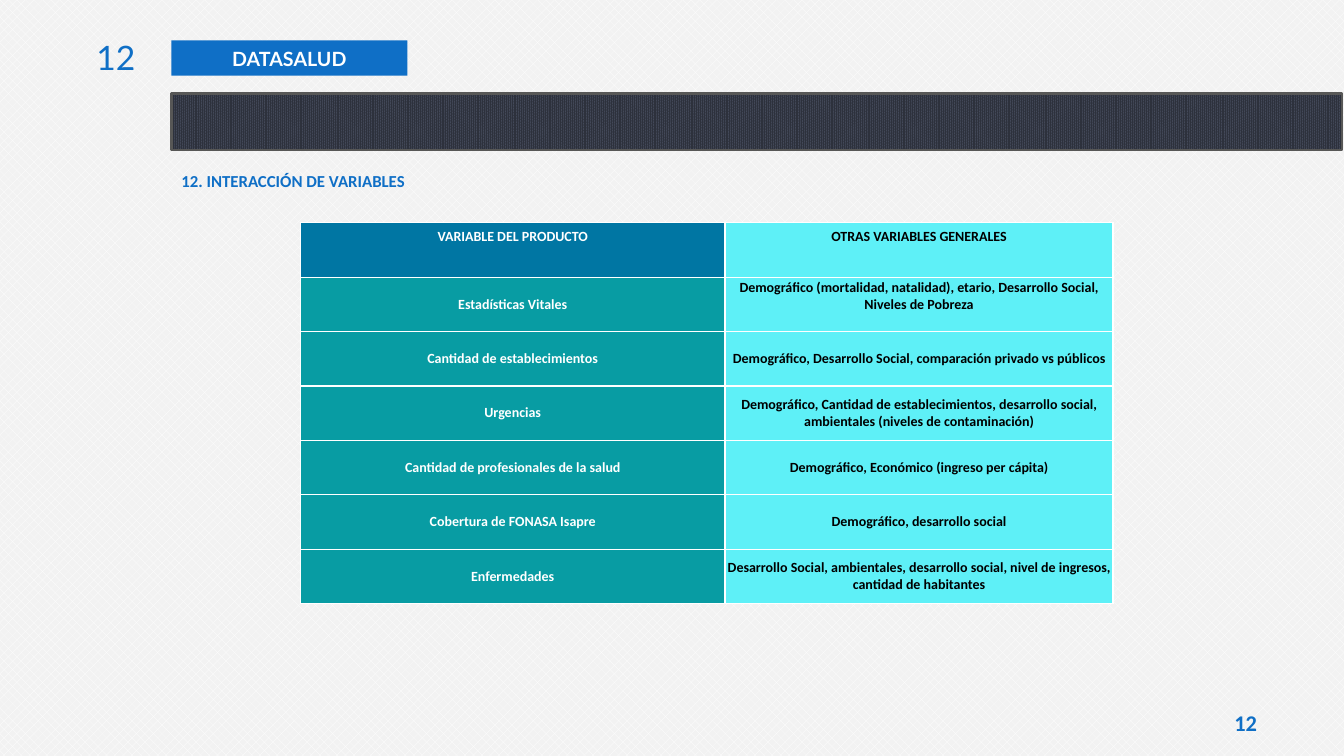
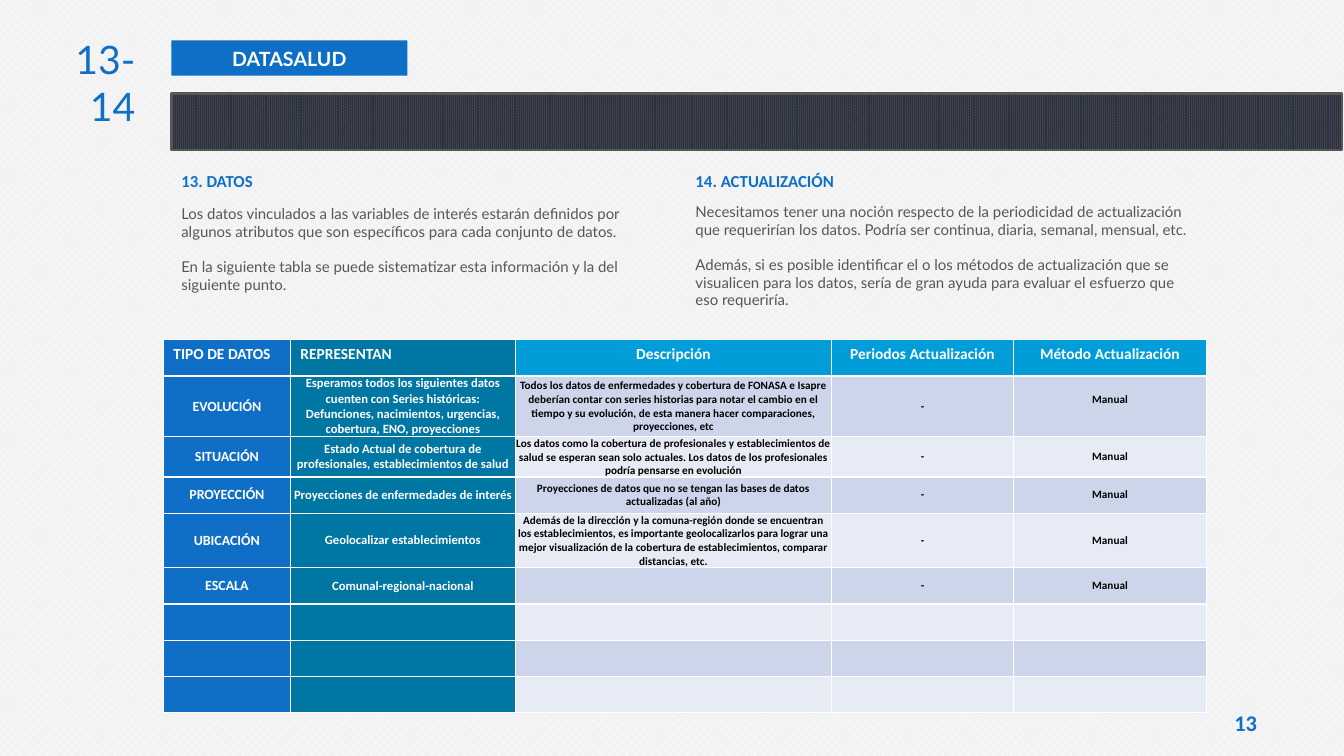
from pptx import Presentation
from pptx.dml.color import RGBColor
from pptx.enum.dml import MSO_PATTERN
from pptx.enum.shapes import MSO_SHAPE
from pptx.enum.text import MSO_ANCHOR, PP_ALIGN
from pptx.util import Inches, Pt

BLUE, TEAL_BLUE, SKY = "0F6FC6", "0076A3", "009DD9"
TEAL, AQUA = "089CA3", "5EF0F7"
BANDS = "CCD5EA", "E7EBF5"
WHITE, BLACK, GREY = "FFFFFF", "000000", "575756"
LEFT, CENTER, RIGHT = PP_ALIGN.LEFT, PP_ALIGN.CENTER, PP_ALIGN.RIGHT

INTERACTIONS = [
    ("VARIABLE DEL PRODUCTO", "OTRAS VARIABLES GENERALES"),
    ("Estadísticas Vitales", "Demográfico (mortalidad, natalidad), etario, Desarrollo Social, "
     "Niveles de Pobreza"),
    ("Cantidad de establecimientos",
     "Demográfico, Desarrollo Social, comparación privado vs públicos"),
    ("Urgencias", "Demográfico, Cantidad de establecimientos, desarrollo social, "
     "ambientales (niveles de contaminación)"),
    ("Cantidad de profesionales de la salud", "Demográfico, Económico (ingreso per cápita)"),
    ("Cobertura de FONASA Isapre", "Demográfico, desarrollo social"),
    ("Enfermedades", "Desarrollo Social, ambientales, desarrollo social, nivel de ingresos, "
     "cantidad de habitantes"),
]
DATA_HEADER = ("TIPO DE DATOS", "REPRESENTAN", "Descripción",
               "Periodos Actualización", "Método Actualización")
DATA_TYPES = [
    ("EVOLUCIÓN", "Esperamos todos los siguientes datos cuenten con Series históricas: "
     "Defunciones, nacimientos, urgencias, cobertura, ENO, proyecciones",
     "Todos los datos de enfermedades y cobertura de FONASA e Isapre deberían contar con "
     "series historias para notar el cambio en el tiempo y su evolución, de esta manera "
     "hacer comparaciones, proyecciones, etc"),
    ("SITUACIÓN", "Estado Actual de cobertura de profesionales, establecimientos de salud",
     "Los datos como la cobertura de profesionales y establecimientos de salud se esperan "
     "sean solo actuales. Los datos de los profesionales podría pensarse en evolución"),
    ("PROYECCIÓN", "Proyecciones de enfermedades de interés",
     "Proyecciones de datos que no se tengan las bases de datos actualizadas (al año)"),
    ("UBICACIÓN", "Geolocalizar establecimientos",
     "Además de la dirección y la comuna-región donde se encuentran los establecimientos, "
     "es importante geolocalizarlos para lograr una mejor visualización de la cobertura de "
     "establecimientos, comparar distancias, etc."),
    ("ESCALA", "Comunal-regional-nacional", ""),
]
DATA_TEXT = [
    "Los datos vinculados a las variables de interés estarán definidos por algunos atributos "
    "que son específicos para cada conjunto de datos.",
    "En la siguiente tabla se puede sistematizar esta información y la del siguiente punto.",
]
UPDATE_TEXT = [
    "Necesitamos tener una noción respecto de la periodicidad de actualización que "
    "requerirían los datos. Podría ser continua, diaria, semanal, mensual, etc.",
    "Además, si es posible identificar el o los métodos de actualización que se visualicen "
    "para los datos, sería de gran ayuda para evaluar el esfuerzo que eso requeriría.",
]


def rgb(value):
    return RGBColor.from_string(value)


def pattern(fill, kind, fore, back):
    fill.patterned()
    fill.pattern = kind
    fill.fore_color.rgb = rgb(fore)
    fill.back_color.rgb = rgb(back)


def solid(sp, color):
    sp.shadow.inherit = False
    sp.fill.solid()
    sp.fill.fore_color.rgb = rgb(color)
    sp.line.fill.background()


def write(tf, text, size=12, color=BLACK, font="Calibri", bold=False, align=LEFT,
          spacing=None, gap=0, anchor=None):
    """Fill a text frame with one paragraph or a list of them."""
    tf.word_wrap = True
    if anchor is not None:
        tf.vertical_anchor = anchor
    for i, line in enumerate([text] if isinstance(text, str) else text):
        p = tf.add_paragraph() if i else tf.paragraphs[0]
        p.alignment = align
        if spacing:
            p.line_spacing = spacing
        if i:
            p.space_before = Pt(gap)
        r = p.add_run()
        r.text = line
        r.font.size, r.font.bold, r.font.name = Pt(size), bold, font
        r.font.color.rgb = rgb(color)


def add_text(s, box, text, **fmt):
    tf = s.shapes.add_textbox(*map(Inches, box)).text_frame
    write(tf, text, **fmt)
    return tf


def add_band(s, x, y, w, h):
    """Dark title band with a bookmark hanging from its top edge."""
    band = s.shapes.add_shape(MSO_SHAPE.RECTANGLE, *map(Inches, (x, y, w, h)))
    band.shadow.inherit = False
    pattern(band.fill, MSO_PATTERN.PERCENT_90, "2D313C", "444A5A")
    band.line.color.rgb = rgb(GREY)
    band.line.width = Pt(2)
    left, right, top, bottom = x + 0.21, x + 0.35, y + 0.02, y + 0.27
    fb = s.shapes.build_freeform(right, top, scale=Inches(1))
    fb.add_line_segments([(right, bottom), (x + 0.27, bottom - 0.02),
                          (left, bottom), (left, top)], close=True)
    solid(fb.convert_to_shape(), BLUE)


def add_base(prs, page, number, number_box, number_size):
    """New slide with the background, page number, tag and band."""
    s = prs.slides.add_slide(prs.slide_layouts[6])
    # python-pptx spells the 40 % pattern without its P
    pattern(s.background.fill, MSO_PATTERN.ERCENT_40, WHITE, "F2F2F2")
    tf = add_text(s, (12.05, 7, 0.61, 0.33), page, size=16, color=BLUE, bold=True,
                  align=CENTER, anchor=MSO_ANCHOR.MIDDLE)
    tf.margin_left = tf.margin_right = Inches(0.05)
    tf.margin_top = tf.margin_bottom = Inches(0.02)
    tag = s.shapes.add_shape(MSO_SHAPE.RECTANGLE, *map(Inches, (1.7, 0.4, 2.34, 0.35)))
    solid(tag, BLUE)
    write(tag.text_frame, "DATASALUD", size=14, color=WHITE, font="Lato", bold=True,
          align=CENTER, spacing=1.1, anchor=MSO_ANCHOR.MIDDLE)
    add_text(s, number_box, number, size=number_size, color=BLUE, font="Lato", align=RIGHT)
    add_band(s, 1.7, 0.93, 11.61, 0.56)
    return s


def add_section(s, x, y, w, heading, text=None, text_offset=0.34, text_width=5):
    """Blue heading with optional body text below."""
    add_text(s, (x, y, w, 0.3), heading, color=BLUE, bold=True)
    if text:
        add_text(s, (x, y + text_offset, text_width, 1.1), text, size=10.7, color=GREY,
                 font="Lato", gap=12)


def add_grid(s, x, y, cols, heights, rows, style, raised):
    """Table; style(row, col) gives fill and text format, raised adds a bottom margin."""
    frame = s.shapes.add_table(len(rows), len(cols), Inches(x), Inches(y),
                               Inches(sum(cols)), Inches(sum(heights)))
    table = frame.table
    for column, w in zip(table.columns, cols):
        column.width = Inches(w)
    for i, (row, h) in enumerate(zip(rows, heights)):
        table.rows[i].height = Inches(h)
        for j, text in enumerate(row):
            cell = table.cell(i, j)
            fill, fmt = style(i, j)
            cell.fill.solid()
            cell.fill.fore_color.rgb = rgb(fill)
            if i:
                cell.margin_left = cell.margin_right = cell.margin_top = 0
                cell.margin_bottom = Inches(raised.get((i, j), 0))
                cell.vertical_anchor = MSO_ANCHOR.MIDDLE
            if text:
                write(cell.text_frame, text, bold=True, **fmt)


def interaction_style(i, j):
    fill = AQUA if j else TEAL if i else TEAL_BLUE
    return fill, dict(size=10, color=BLACK if j else WHITE, align=CENTER)


def data_style(i, j):
    if i == 0:
        return ((BLUE, TEAL_BLUE, SKY, SKY, SKY)[j],
                dict(size=11, color=WHITE, align=LEFT if j < 2 else CENTER))
    fill = (BLUE, TEAL_BLUE)[j] if j < 2 else BANDS[(i - 1) % 2]
    return fill, dict(size=(10, 9, 8, 8, 8)[j], color=WHITE if j < 2 else BLACK, align=CENTER)


def interaction_slide(prs):
    s = add_base(prs, "12", "12", (0.78, 0.32, 0.66, 0.5), 24)
    add_section(s, 1.7, 1.64, 4.96, "12. INTERACCIÓN DE VARIABLES")
    add_grid(s, 2.98, 2.21, (4.21, 3.85), [0.54] * len(INTERACTIONS), INTERACTIONS,
             interaction_style, {(1, 1): 0.17})


def data_slide(prs):
    s = add_base(prs, "13", "13-14", (0.3, 0.3, 1.14, 0.57), 28)
    add_section(s, 1.7, 1.64, 4.96, "13. DATOS", DATA_TEXT, 0.34, 4.92)
    add_section(s, 6.8, 1.64, 4.74, "14. ACTUALIZACIÓN", UPDATE_TEXT, 0.32, 5.17)
    rows = [DATA_HEADER, *(row + ("-", "Manual") for row in DATA_TYPES), *[("",) * 5] * 3]
    heights = [0.36, 0.59, 0.4, 0.36, 0.54] + [0.36] * 4
    add_grid(s, 1.62, 3.37, (1.26, 2.23, 3.14, 1.8, 1.92), heights, rows,
             data_style, {(1, 4): 0.14})


def main():
    prs = Presentation()
    prs.slide_width, prs.slide_height = Inches(13.33), Inches(7.5)
    interaction_slide(prs)
    data_slide(prs)
    prs.save("out.pptx")


if __name__ == "__main__":
    main()
